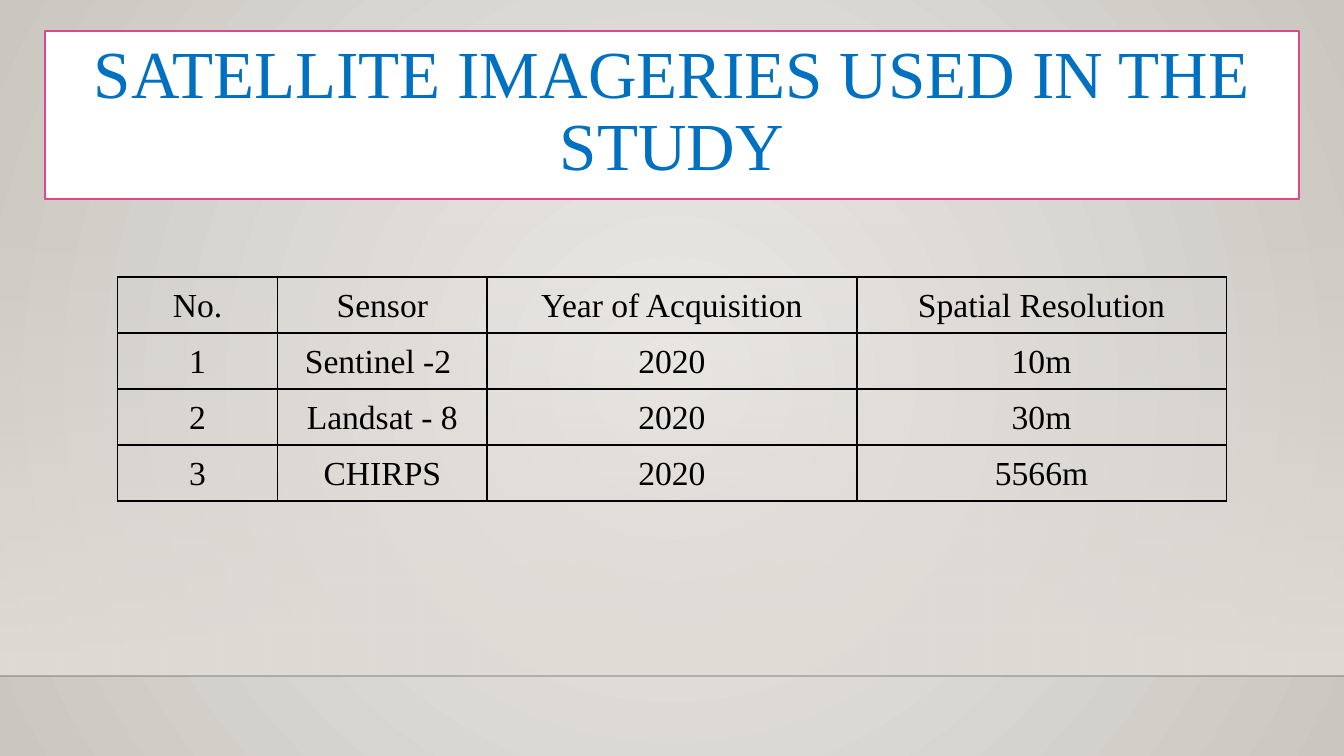
import pptx
import pptx.util
import pptx.dml.color
import pptx.enum.shapes
import pptx.enum.text
import pptx.oxml
import pptx.oxml.ns
from lxml import etree

Inches = pptx.util.Inches
Pt = pptx.util.Pt
qn = pptx.oxml.ns.qn
RECT = pptx.enum.shapes.MSO_SHAPE.RECTANGLE
STRAIGHT = pptx.enum.shapes.MSO_CONNECTOR.STRAIGHT
ANCHOR = pptx.enum.text.MSO_ANCHOR
CENTER = pptx.enum.text.PP_ALIGN.CENTER

TITLE = "SATELLITE IMAGERIES USED IN THE STUDY"
ROWS = [
    ("No.", "Sensor", "Year of Acquisition", "Spatial Resolution"),
    ("1", "Sentinel -2 ", "2020", "10m"),
    ("2", "Landsat - 8", "2020", "30m"),
    ("3", "CHIRPS", "2020", "5566m"),
]
WIDTHS = [1.19, 1.56, 2.75, 2.75]
TALL = 1.67
FONT = "Times New Roman"
WIDE, FLOOR = 10, 5.03
HIGH = WIDE * 9 / 16


def color(code):
    return pptx.dml.color.RGBColor.from_string(code)


def middle(width):
    return Inches((WIDE - width) / 2)


def add(parent, tag, **attrs):
    return etree.SubElement(parent, qn(tag), attrs)


def blend(fill, first, last):
    fill.gradient()
    for stop, code in zip(fill.gradient_stops, (first, last)):
        stop.color.rgb = color(code)


def fade(node, percent):
    add(node, "a:alpha", val=str(percent * 1000))


def write(frame, text, size, code, space):
    para = frame.paragraphs[0]
    para.alignment = CENTER
    para.line_spacing = space
    run = para.add_run()
    run.text = text
    run.font.name = FONT
    run.font.size = Pt(size)
    run.font.color.rgb = color(code)


def border(cell, code, width):
    props = cell._tc.get_or_add_tcPr()
    for spot, side in enumerate("LRTB"):
        line = etree.Element(qn(f"a:ln{side}"), w=str(Pt(width)))
        add(add(line, "a:solidFill"), "a:srgbClr", val=code)
        props.insert(spot, line)


def backdrop(slide):
    blend(slide.background.fill, "ECEAE7", "CAC7C1")
    grad = slide.element.xpath(".//p:bg//a:gradFill")[0]
    round_fill = etree.Element(qn("a:path"), path="circle")
    add(round_fill, "a:fillToRect", l="50000", t="50000", r="50000", b="50000")
    grad.replace(grad.find(qn("a:lin")), round_fill)

    top = 1.66
    wall = slide.shapes.add_shape(
        RECT, 0, Inches(top), Inches(WIDE), Inches(FLOOR - top))
    wall.shadow.inherit = False
    wall.line.fill.background()
    blend(wall.fill, "DFDBD5", "DFDBD5")
    wall.fill.gradient_angle = 270
    fade(wall.element.xpath(".//a:gs/a:srgbClr")[0], 0)

    edge = slide.shapes.add_connector(
        STRAIGHT, 0, Inches(FLOOR), Inches(WIDE), Inches(FLOOR))
    edge.line.width = Pt(1)
    edge.line.color.rgb = color("000001")
    fade(edge.element.xpath(".//a:ln//a:srgbClr")[0], 20)
    add(edge.element.spPr, "a:effectLst")


def heading(slide):
    width = 9.33
    box = slide.shapes.add_shape(
        RECT, middle(width), Inches(0.23), Inches(width), Inches(1.25))
    box.shadow.inherit = False
    box.fill.solid()
    box.fill.fore_color.rgb = color("FFFFFF")
    box.line.color.rgb = color("DE478E")
    box.line.width = Pt(1.25)
    frame = box.text_frame
    frame.word_wrap = True
    frame.vertical_anchor = ANCHOR.BOTTOM
    frame.margin_left = frame.margin_right = Inches(0.1)
    frame.margin_top = frame.margin_bottom = Inches(0.1)
    write(frame, TITLE, 36, "0070C0", 0.9)


def sensors(slide):
    width = sum(WIDTHS)
    table = slide.shapes.add_table(
        len(ROWS), len(WIDTHS), middle(width), Inches(2.06),
        Inches(width), Inches(TALL)).table
    table.first_row = table.horz_banding = False
    for col, span in zip(table.columns, WIDTHS):
        col.width = Inches(span)
    for row, texts in zip(table.rows, ROWS):
        row.height = Inches(TALL / len(ROWS))
        for cell, text in zip(row.cells, texts):
            cell.fill.background()
            cell.vertical_anchor = ANCHOR.MIDDLE
            cell.margin_left = cell.margin_right = Inches(0.07)
            cell.margin_top = cell.margin_bottom = 0
            border(cell, "000000", 1)
            write(cell.text_frame, text, 18, "000000", 1.07)


def main():
    deck = pptx.Presentation()
    deck.slide_width, deck.slide_height = Inches(WIDE), Inches(HIGH)
    slide = deck.slides.add_slide(deck.slide_layouts[6])
    backdrop(slide)
    heading(slide)
    sensors(slide)
    deck.save("out.pptx")


if __name__ == "__main__":
    main()
